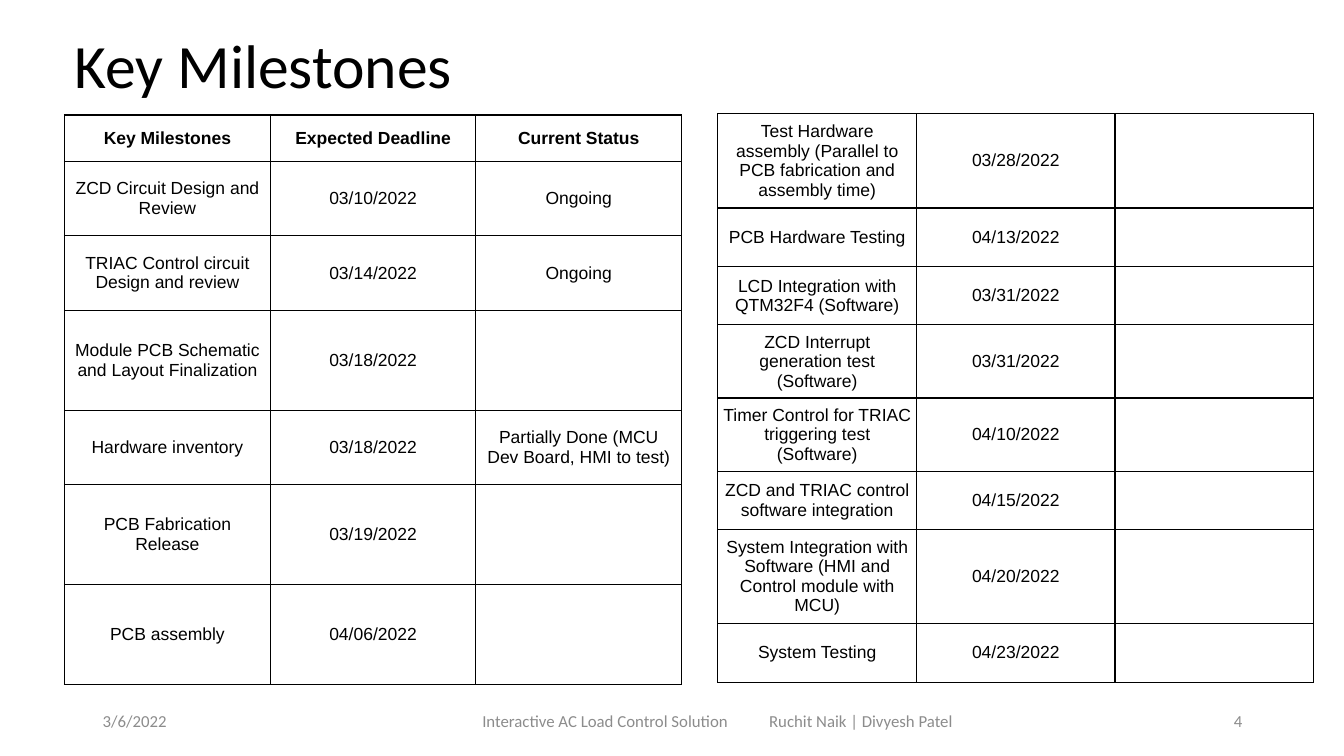
"""Build the Key Milestones slide."""
from dataclasses import dataclass

from lxml import etree
from pptx import Presentation
from pptx.dml.color import RGBColor
from pptx.enum.text import MSO_ANCHOR, PP_ALIGN
from pptx.oxml.ns import qn
from pptx.slide import Slide
from pptx.table import _Cell
from pptx.text.text import _Paragraph
from pptx.util import Inches, Pt

LEFT, CENTER, RIGHT = PP_ALIGN.LEFT, PP_ALIGN.CENTER, PP_ALIGN.RIGHT
MIDDLE, BOTTOM = MSO_ANCHOR.MIDDLE, MSO_ANCHOR.BOTTOM
BLANK_LAYOUT = 6


@dataclass(frozen=True)
class Theme:
    """Colours, fonts and type sizes of the slide."""
    ink: RGBColor = RGBColor(0x00, 0x00, 0x00)
    muted: RGBColor = RGBColor(0x8C, 0x8C, 0x8C)
    paper: RGBColor = RGBColor(0xFF, 0xFF, 0xFF)
    heading_font: str = "Calibri"
    table_font: str = "Arial"
    title_size: float = 44
    table_size: float = 12.5
    footer_size: float = 12
    border_width: float = 1


THEME = Theme()


@dataclass(frozen=True)
class FooterItem:
    """One piece of footer text and its horizontal place in inches."""
    text: str
    left: float
    width: float
    align: PP_ALIGN


@dataclass(frozen=True)
class Milestone:
    """One table row: its height in inches and its cell texts."""
    height: float
    name: str
    deadline: str
    status: str = ""


@dataclass(frozen=True)
class MilestoneTable:
    """A table of milestones; lengths in inches."""
    left: float
    top: float
    column_width: float
    margin: float
    has_header: bool
    rows: tuple[Milestone, ...]


FOOTER = (
    FooterItem("3/6/2022", 0.92, 3, LEFT),
    FooterItem("Interactive AC Load Control Solution", 4.02, 3.3, RIGHT),
    FooterItem("Ruchit Naik | Divyesh Patel", 7.53, 2.69, LEFT),
    FooterItem("4", 9.42, 3, RIGHT),
)

TABLES = (
    MilestoneTable(0.64, 1.14, 2.04, 0.07, True, (
        Milestone(0.46, "Key Milestones", "Expected Deadline", "Current Status"),
        Milestone(0.74, "ZCD Circuit Design and Review", "03/10/2022", "Ongoing"),
        Milestone(0.74, "TRIAC Control circuit Design and review", "03/14/2022", "Ongoing"),
        Milestone(0.99, "Module PCB Schematic and Layout Finalization", "03/18/2022"),
        Milestone(0.74, "Hardware inventory", "03/18/2022",
                  "Partially Done (MCU Dev Board, HMI to test)"),
        Milestone(0.99, "PCB Fabrication Release", "03/19/2022"),
        Milestone(0.99, "PCB assembly", "04/06/2022"),
    )),
    MilestoneTable(7.12, 1.13, 1.97, 0.05, False, (
        Milestone(0.91, "Test Hardware assembly (Parallel to PCB fabrication and assembly time)",
                  "03/28/2022"),
        Milestone(0.58, "PCB Hardware Testing", "04/13/2022"),
        Milestone(0.58, "LCD Integration with QTM32F4 (Software)", "03/31/2022"),
        Milestone(0.71, "ZCD Interrupt generation test (Software)", "03/31/2022"),
        Milestone(0.71, "Timer Control for TRIAC triggering test (Software)", "04/10/2022"),
        Milestone(0.58, "ZCD and TRIAC control software integration", "04/15/2022"),
        Milestone(0.91, "System Integration with Software (HMI and Control module with MCU)",
                  "04/20/2022"),
        Milestone(0.58, "System Testing", "04/23/2022"),
    )),
)


def write(para: _Paragraph, text: str, *, font: str, size: float, color: RGBColor,
          align: PP_ALIGN = LEFT, bold: bool = False) -> None:
    """Fill a paragraph with text in the given format."""
    para.alignment = align
    para.font.size = Pt(size)
    if text:
        span = para.add_run()
        span.text = text
        span.font.name = font
        span.font.size = Pt(size)
        span.font.bold = bold
        span.font.color.rgb = color


def add_text(page: Slide, text: str, left: float, top: float, width: float, height: float,
             *, anchor: MSO_ANCHOR = MIDDLE, **style) -> _Paragraph:
    """Add a wrapping text box and return its paragraph."""
    box = page.shapes.add_textbox(Inches(left), Inches(top), Inches(width), Inches(height))
    box.text_frame.word_wrap = True
    box.text_frame.vertical_anchor = anchor
    para = box.text_frame.paragraphs[0]
    write(para, text, **style)
    return para


def add_borders(cell: _Cell) -> None:
    """Draw a solid line on all four sides of a cell."""
    properties = cell._tc.get_or_add_tcPr()
    for side in ("a:lnL", "a:lnR", "a:lnT", "a:lnB"):
        line = etree.SubElement(properties, qn(side), w=str(Pt(THEME.border_width)))
        fill = etree.SubElement(line, qn("a:solidFill"))
        etree.SubElement(fill, qn("a:srgbClr"), val=str(THEME.ink))


def fill_cell(cell: _Cell, text: str, margin: float, bold: bool) -> None:
    """Format one cell and write its text."""
    add_borders(cell)
    cell.fill.solid()
    cell.fill.fore_color.rgb = THEME.paper
    cell.vertical_anchor = MIDDLE
    cell.margin_left = cell.margin_right = Inches(margin)
    cell.margin_top = cell.margin_bottom = Inches(margin)
    write(cell.text_frame.paragraphs[0], text, font=THEME.table_font,
          size=THEME.table_size, color=THEME.ink, align=CENTER, bold=bold)


def add_milestones(page: Slide, plan: MilestoneTable) -> None:
    """Add one milestone table."""
    height = sum(row.height for row in plan.rows)
    table = page.shapes.add_table(
        len(plan.rows), 3, Inches(plan.left), Inches(plan.top),
        Inches(3 * plan.column_width), Inches(height)).table
    table.first_row = plan.has_header
    table.horz_banding = False
    for column in table.columns:
        column.width = Inches(plan.column_width)
    for index, row in enumerate(plan.rows):
        table.rows[index].height = Inches(row.height)
        bold = plan.has_header and index == 0
        for column, text in enumerate((row.name, row.deadline, row.status)):
            fill_cell(table.cell(index, column), text, plan.margin, bold)


def main() -> None:
    """Build and save the deck."""
    deck = Presentation()
    deck.slide_width, deck.slide_height = Inches(13.33), Inches(7.5)
    page = deck.slides.add_slide(deck.slide_layouts[BLANK_LAYOUT])
    title = add_text(page, "Key Milestones", 0.64, 0.27, 11.5, 0.79, anchor=BOTTOM,
                     font=THEME.heading_font, size=THEME.title_size, color=THEME.ink)
    title.line_spacing = 0.9
    for item in FOOTER:
        add_text(page, item.text, item.left, 6.95, item.width, 0.4, align=item.align,
                 font=THEME.heading_font, size=THEME.footer_size, color=THEME.muted)
    for plan in TABLES:
        add_milestones(page, plan)
    deck.save("out.pptx")


main()
